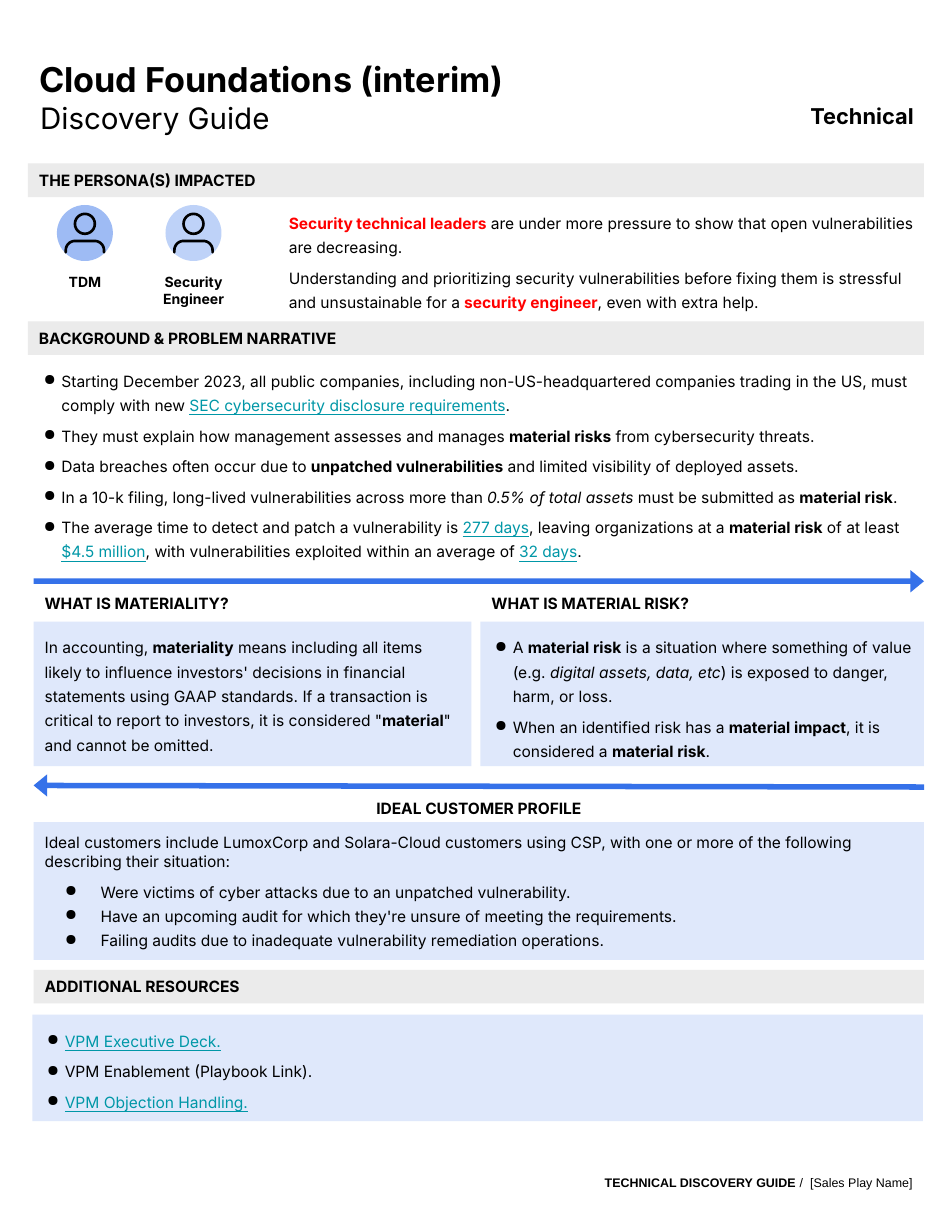
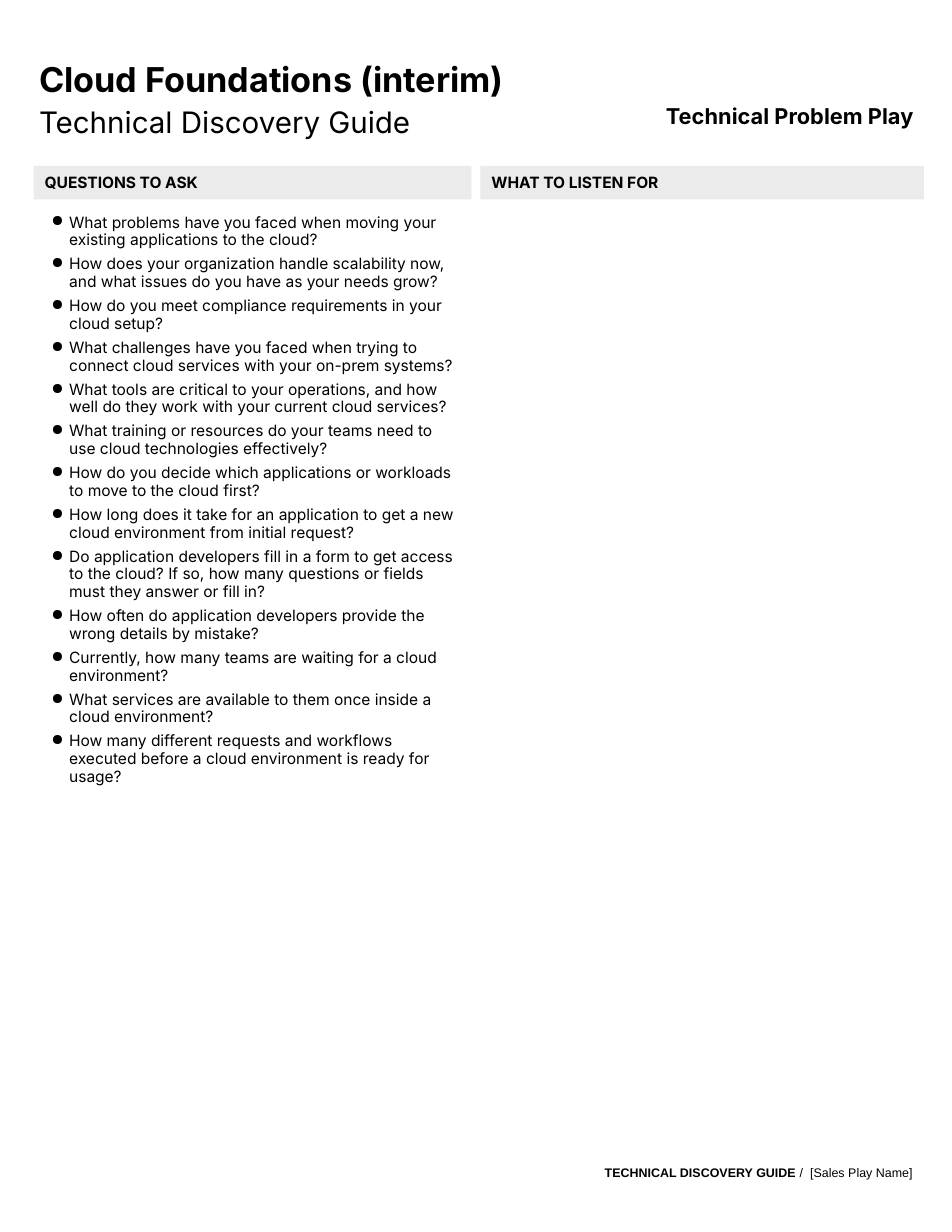
from math import cos, pi, sin

from lxml import etree
from pptx import Presentation
from pptx.dml.color import RGBColor
from pptx.enum.shapes import MSO_SHAPE
from pptx.enum.text import MSO_ANCHOR, PP_ALIGN
from pptx.oxml.ns import qn
from pptx.util import Pt

RECTANGLE, OVAL, ARROW = MSO_SHAPE.RECTANGLE, MSO_SHAPE.OVAL, MSO_SHAPE.RIGHT_ARROW
TOP, MIDDLE = MSO_ANCHOR.TOP, MSO_ANCHOR.MIDDLE
LEFT, CENTER, RIGHT = PP_ALIGN.LEFT, PP_ALIGN.CENTER, PP_ALIGN.RIGHT

BLACK = RGBColor(0x00, 0x00, 0x00)
WHITE = RGBColor(0xFF, 0xFF, 0xFF)
RED = RGBColor(0xFF, 0x00, 0x00)
TEAL = RGBColor(0x00, 0x97, 0xA7)
GRAY = RGBColor(0xEB, 0xEB, 0xEB)
PALE_BLUE = RGBColor(0xDF, 0xE8, 0xFB)
BLUE = RGBColor(0x35, 0x71, 0xE9)
TDM_BLUE = RGBColor(0x9E, 0xBB, 0xF4)
ENGINEER_BLUE = RGBColor(0xBE, 0xD2, 0xF8)

# Left edge and width, in points
FULL = (18, 576)
INNER = (21.6, 572.4)
LEFT_COLUMN = (21.6, 281.5)
RIGHT_COLUMN = (308.9, 285.1)
BAND_HEIGHT = 21.6
INSET = 7.2

# Left margin and hanging indent of bullets, in points
BULLET = (13.7, 11.5)
QUESTION_BULLET = (15.8, 11.5)
DEEP_BULLET = (36, 23)


# Spans inside a paragraph
def bold(text):
    return text, {"bold": True}


def italic(text):
    return text, {"italic": True}


def alert(text):
    return text, {"bold": True, "color": RED}


def link(text):
    return text, {"underline": True, "color": TEAL}


class Guide:
    def __init__(self):
        self.deck = Presentation()
        self.deck.slide_width, self.deck.slide_height = Pt(612), Pt(792)
        self.page = None

    def new_page(self):
        self.page = self.deck.slides.add_slide(self.deck.slide_layouts[6])

    def shape(self, kind, left, top, width, height, fill=None):
        shape = self.page.shapes.add_shape(
            kind, Pt(left), Pt(top), Pt(width), Pt(height))
        self.paint(shape, fill)
        return shape

    def paint(self, shape, fill=None):
        shape.shadow.inherit = False
        shape.line.fill.background()
        if fill is None:
            shape.fill.background()
        else:
            shape.fill.solid()
            shape.fill.fore_color.rgb = fill

    def text(self, left, top, width, height, paras, fill=None, anchor=TOP,
             inset_top=INSET, **style):
        """Add a text box, or a filled rectangle when a fill is given."""
        if fill is None:
            box = self.page.shapes.add_textbox(
                Pt(left), Pt(top), Pt(width), Pt(height))
        else:
            box = self.shape(RECTANGLE, left, top, width, height, fill)
        frame = box.text_frame
        frame.word_wrap, frame.vertical_anchor = True, anchor
        frame.margin_left = frame.margin_right = frame.margin_bottom = Pt(INSET)
        frame.margin_top = Pt(inset_top)
        self.add_paras(frame, paras, **style)
        return frame

    def add_paras(self, frame, paras, size=10, heavy=False, align=LEFT, font="Inter",
                  spacing=None, after=0, bullet=None):
        """Each paragraph is a string or a list of spans."""
        for spans in paras:
            first = frame.paragraphs[0]
            para = frame.add_paragraph() if first.runs else first
            para.alignment = align
            para.space_after = Pt(after)
            if spacing:
                para.line_spacing = spacing
            if bullet:
                self.add_bullet(para, *bullet)
            para.font.name, para.font.size = font, Pt(size)
            para.font.bold, para.font.color.rgb = heavy, BLACK
            for span in [spans] if isinstance(spans, str) else spans:
                words, look = (span, {}) if isinstance(span, str) else span
                self.add_span(para, words, **look)

    def add_span(self, para, words, bold=None, italic=None, underline=None, color=None):
        run = para.add_run()
        run.text = words
        run.font.bold, run.font.italic, run.font.underline = bold, italic, underline
        if color is not None:
            run.font.color.rgb = color

    def add_bullet(self, para, margin, hanging):
        props = para._p.get_or_add_pPr()
        props.set("marL", str(Pt(margin)))
        props.set("indent", str(-Pt(hanging)))
        color = etree.SubElement(props, qn("a:buClr"))
        etree.SubElement(color, qn("a:srgbClr"), val=str(BLACK))
        etree.SubElement(props, qn("a:buChar"), char="●")

    def band(self, place, top, title):
        self.text(place[0], top, place[1], BAND_HEIGHT, [title], fill=GRAY,
                  anchor=MIDDLE, heavy=True)

    def heading(self, place, top, title, align=LEFT):
        self.text(place[0], top, place[1], BAND_HEIGHT, [title],
                  anchor=MIDDLE, heavy=True, align=align)

    def panel(self, place, top, height, paras, **style):
        return self.text(place[0], top, place[1], height, paras,
                         fill=PALE_BLUE, **style)

    def arrow(self, top, rotation=0):
        arrow = self.shape(ARROW, INNER[0], top, INNER[1], 14.4, BLUE)
        arrow.adjustments[0], arrow.adjustments[1] = 0.245, 0.608
        arrow.rotation = rotation

    def header(self, subtitle, subtitle_left, subtitle_top, label):
        self.text(18, 30.2, 422, 36, ["Cloud Foundations (interim)"],
                  size=22, heavy=True)
        self.text(subtitle_left, subtitle_top, 398, 36, [subtitle], size=19)
        self.text(396.5, 59, 198, 31.7, [label], size=14, heavy=True, align=RIGHT)

    def footer(self, top):
        self.text(115, top, 479, BAND_HEIGHT,
                  [[bold("TECHNICAL DISCOVERY GUIDE "), "/  [Sales Play Name]"]],
                  anchor=MIDDLE, size=8, font="Arial", align=RIGHT)

    def persona(self, center, disc_color, label, label_width):
        disc_top, radius = 131.8, 18
        self.shape(OVAL, center - radius, disc_top, 2 * radius, 2 * radius, disc_color)
        head = self.shape(OVAL, center - 6.4, disc_top + 5.7, 12.8, 12.8)

        # Shoulders: a line with two rounded corners
        reach, corner, neck, foot = 12.3, 6, disc_top + 23.1, disc_top + 30.4
        angles = [step * pi / 16 for step in range(9)]
        left_side = [(center - reach + corner * (1 - cos(a)),
                      neck + corner * (1 - sin(a))) for a in angles]
        right_side = [(2 * center - x, y) for x, y in reversed(left_side)]
        outline = [*left_side, *right_side, (center + reach, foot)]
        builder = self.page.shapes.build_freeform(Pt(center - reach), Pt(foot))
        builder.add_line_segments([(Pt(x), Pt(y)) for x, y in outline], close=False)
        shoulders = builder.convert_to_shape()
        self.paint(shoulders)
        for part in (head, shoulders):
            part.line.color.rgb = BLACK
            part.line.width = Pt(1.7)
            part.line._get_or_add_ln().set("cap", "rnd")

        self.text(center - label_width / 2, 175.7, label_width, 14.4, [label],
                  fill=WHITE, inset_top=0, size=9, heavy=True, align=CENTER)


def build_overview(guide):
    guide.new_page()
    guide.header("Discovery Guide", 18.7, 56.9, "Technical")

    # Personas
    guide.persona(54.6, TDM_BLUE, "TDM", 65.5)
    guide.persona(124.4, ENGINEER_BLUE, "Security Engineer", 79.2)
    guide.text(178.6, 126.7, 415.4, 81.4, [
        [alert("Security technical leaders"), " are under more pressure to show that "
         "open vulnerabilities are decreasing."],
        ["Understanding and prioritizing security vulnerabilities before fixing them "
         "is stressful and unsustainable for a ", alert("security engineer"),
         ", even with extra help."],
    ], spacing=1.3, after=4)
    guide.band(FULL, 105.1, "THE PERSONA(S) IMPACTED")

    # Background
    guide.band(FULL, 206.6, "BACKGROUND & PROBLEM NARRATIVE")
    guide.text(18.7, 228.2, 577.4, 141.8, [
        ["Starting December 2023, all public companies, including non-US-headquartered "
         "companies trading in the US, must comply with new ",
         link("SEC cybersecurity disclosure requirements"), "."],
        ["They must explain how management assesses and manages ",
         bold("material risks"), " from cybersecurity threats."],
        ["Data breaches often occur due to ", bold("unpatched vulnerabilities"),
         " and limited visibility of deployed assets."],
        ["In a 10-k filing, long-lived vulnerabilities across more than ",
         italic("0.5% of total assets"), " must be submitted as ",
         bold("material risk"), "."],
        ["The average time to detect and patch a vulnerability is ", link("277 days"),
         ", leaving organizations at a ", bold("material risk"), " of at least ",
         link("$4.5 million"), ", with vulnerabilities exploited within an average of ",
         link("32 days"), "."],
    ], spacing=1.3, after=4, bullet=BULLET)

    # Materiality and material risk
    guide.arrow(366.5)
    guide.heading(LEFT_COLUMN, 377.3, "WHAT IS MATERIALITY?")
    guide.heading(RIGHT_COLUMN, 377.3, "WHAT IS MATERIAL RISK?")
    guide.panel(LEFT_COLUMN, 399.6, 92.9, [
        ["In accounting, ", bold("materiality"), " means including all items likely to "
         "influence investors' decisions in financial statements using GAAP standards. "
         "If a transaction is critical to report to investors, it is considered \"",
         bold("material"), "\" and cannot be omitted."],
    ], spacing=1.3)
    guide.panel(RIGHT_COLUMN, 399.6, 92.9, [
        ["A ", bold("material risk"), " is a situation where something of value (e.g. ",
         italic("digital assets, data, etc"), ") is exposed to danger, harm, or loss."],
        ["When an identified risk has a ", bold("material impact"),
         ", it is considered a ", bold("material risk"), "."],
    ], spacing=1.3, after=4, bullet=BULLET)
    guide.arrow(498.2, rotation=180.1)

    # Ideal customers
    guide.heading(INNER, 509, "IDEAL CUSTOMER PROFILE", align=CENTER)
    profile = guide.panel(INNER, 528.5, 88.6, [
        "Ideal customers include LumoxCorp and Solara-Cloud customers using CSP, with "
        "one or more of the following describing their situation:"], after=4)
    guide.add_paras(profile, [
        "Were victims of cyber attacks due to an unpatched vulnerability.",
        "Have an upcoming audit for which they're unsure of meeting the requirements.",
        "Failing audits due to inadequate vulnerability remediation operations.",
    ], spacing=1.3, bullet=DEEP_BULLET)

    # Resources
    guide.band(INNER, 623.5, "ADDITIONAL RESOURCES")
    guide.panel((20.9, 572.4), 652.3, 68.4, [
        [link("VPM Executive Deck.")],
        "VPM Enablement (Playbook Link).",
        [link("VPM Objection Handling.")],
    ], spacing=1.3, after=4, bullet=BULLET)
    guide.footer(749.5)


def build_questions(guide):
    guide.new_page()
    guide.header("Technical Discovery Guide", 18, 59.8, "Technical Problem Play")
    guide.band(LEFT_COLUMN, 106.6, "QUESTIONS TO ASK")
    guide.band(RIGHT_COLUMN, 106.6, "WHAT TO LISTEN FOR")
    guide.text(21.6, 130.3, 279.4, 602.6, [
        "What problems have you faced when moving your existing applications to the "
        "cloud?",
        "How does your organization handle scalability now, and what issues do you have "
        "as your needs grow?",
        "How do you meet compliance requirements in your cloud setup?",
        "What challenges have you faced when trying to connect cloud services with your "
        "on-prem systems?",
        "What tools are critical to your operations, and how well do they work with your "
        "current cloud services?",
        "What training or resources do your teams need to use cloud technologies "
        "effectively?",
        "How do you decide which applications or workloads to move to the cloud first?",
        "How long does it take for an application to get a new cloud environment from "
        "initial request?",
        "Do application developers fill in a form to get access to the cloud? If so, how "
        "many questions or fields must they answer or fill in?",
        "How often do application developers provide the wrong details by mistake?",
        "Currently, how many teams are waiting for a cloud environment?",
        "What services are available to them once inside a cloud environment?",
        "How many different requests and workflows executed before a cloud environment "
        "is ready for usage?",
    ], spacing=0.95, after=4, bullet=QUESTION_BULLET)
    guide.footer(743)


def main():
    guide = Guide()
    build_overview(guide)
    build_questions(guide)
    guide.deck.save("out.pptx")


if __name__ == "__main__":
    main()
